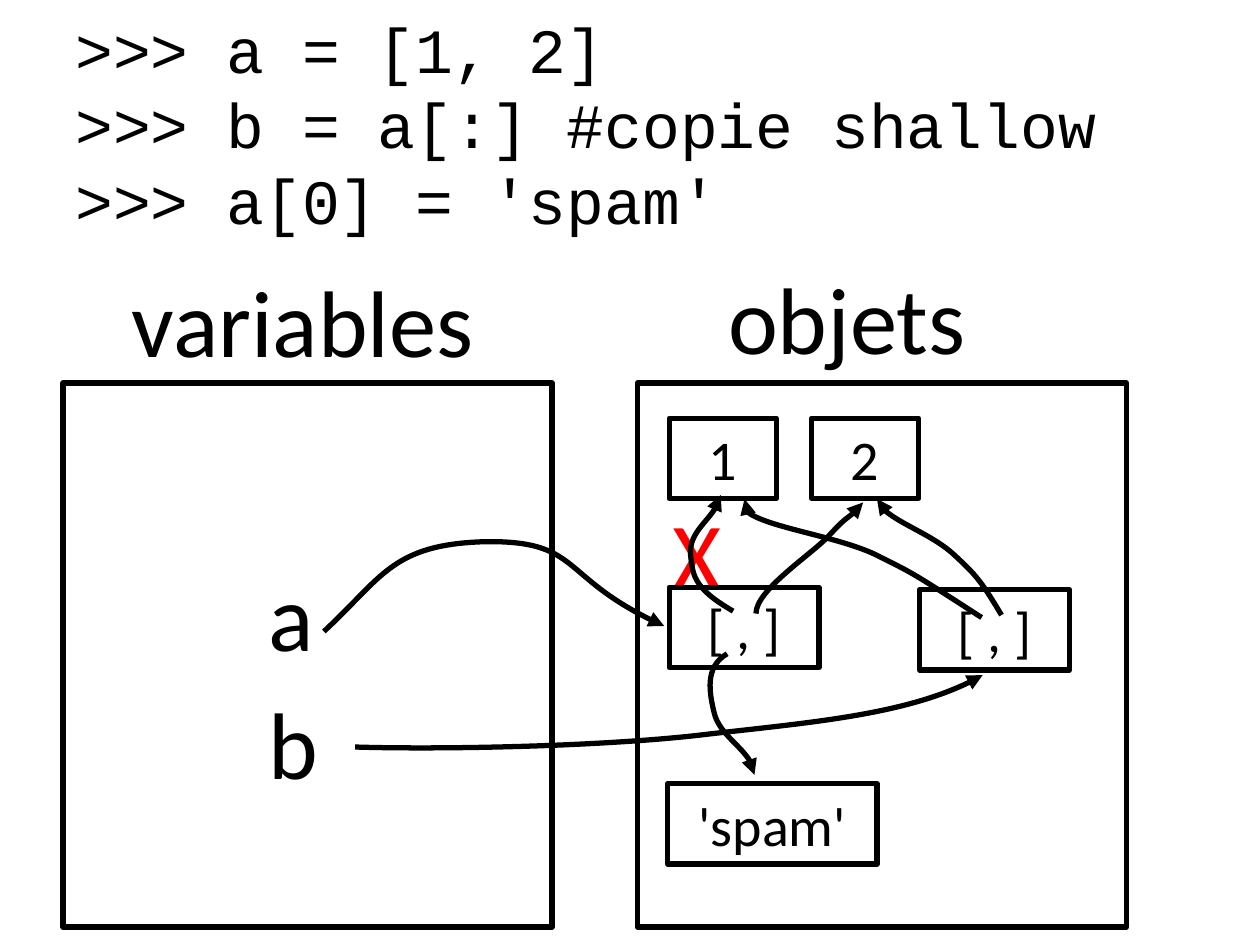
"""Build the slide on shallow copies: code, variables, objects and references."""
import lxml.etree
import pptx
import pptx.dml.color
import pptx.enum.shapes
import pptx.enum.text
import pptx.oxml.ns
import pptx.util
from dataclasses import dataclass
from pptx.util import Cm

RGB = pptx.dml.color.RGBColor
RECTANGLE = pptx.enum.shapes.MSO_SHAPE.RECTANGLE
qn = pptx.oxml.ns.qn


@dataclass(frozen=True)
class Theme:
    ink: RGB = RGB(0, 0, 0)
    crossed: RGB = RGB(255, 0, 0)
    label_font: str = "Calibri"
    code_font: str = "Courier New"
    label_size: int = 54
    code_size: int = 36
    object_size: int = 32
    line_width: int = 3


theme = Theme()


def write(holder, text, size, color=theme.ink, font=theme.label_font, align=None):
    frame = holder.text_frame
    frame.text = text
    frame.word_wrap = True
    frame.auto_size = pptx.enum.text.MSO_AUTO_SIZE.SHAPE_TO_FIT_TEXT
    for paragraph in frame.paragraphs:
        paragraph.alignment = align
        paragraph.font.name = font
        paragraph.font.size = pptx.util.Pt(size)
        paragraph.font.color.rgb = color


def outline(shape):
    shape.shadow.inherit = False
    shape.fill.background()
    shape.line.color.rgb = theme.ink
    shape.line.width = pptx.util.Pt(theme.line_width)


deck = pptx.Presentation()
deck.slide_width, deck.slide_height = Cm(25.4), Cm(19.05)
slide = deck.slides.add_slide(deck.slide_layouts[6])

code = slide.shapes.add_textbox(Cm(1.27), Cm(0.08), Cm(24.13), Cm(4.88))
write(code, ">>> a = [1, 2]\n>>> b = a[:] #copie shallow\n>>> a[0] = 'spam'",
      theme.code_size, font=theme.code_font)

for left in (1.27, 12.85):
    outline(slide.shapes.add_shape(RECTANGLE, Cm(left), Cm(7.72), Cm(9.86), Cm(10.97)))

labels = [
    ("variables", 2.41, 5.18, 9.6, theme.ink),
    ("objets", 14.43, 5.11, 9.6, theme.ink),
    ("a", 5.16, 11.1, 3, theme.ink),
    ("b", 5.16, 13.69, 3, theme.ink),
    ("X", 13.31, 9.86, 1.63, theme.crossed),
]
for text, left, top, width, color in labels:
    label = slide.shapes.add_textbox(Cm(left), Cm(top), Cm(width), Cm(2.57))
    write(label, text, theme.label_size, color)

objects = [
    ("1", 13.49, 8.43, 2.16),
    ("2", 16.36, 8.43, 2.16),
    ("[ , ]", 13.49, 11.84, 3.02),
    ("[ , ]", 18.54, 11.89, 3.02),
    ("'spam'", 13.46, 15.8, 4.22),
]
for text, left, top, width in objects:
    value = slide.shapes.add_shape(RECTANGLE, Cm(left), Cm(top), Cm(width), Cm(1.62))
    outline(value)
    write(value, text, theme.object_size, align=pptx.enum.text.PP_ALIGN.CENTER)

references = {
    "a to list": [(6.53, 12.73), (7.72, 11.63), (7.9, 10.97), (9.8, 10.92),
                  (11.68, 10.9), (11.25, 11.66), (13.39, 12.62)],
    "b to copy": [(7.16, 15.06), (8.79, 15.11), (11.91, 15.06), (14.02, 14.83),
                  (16.13, 14.58), (18.39, 14.43), (19.81, 13.61)],
    "a[0] to 1": [(14.78, 12.32), (13.94, 11.84), (13.97, 11.56), (13.92, 11.18),
                  (13.89, 10.77), (14.48, 10.34), (14.53, 9.98)],
    "a[1] to 2": [(15.24, 12.37), (15.24, 11.89), (16.36, 11.18), (16.71, 10.8),
                  (17.07, 10.41), (17.12, 10.46), (17.4, 10.13)],
    "a[0] to spam": [(14.66, 13.18), (14.2, 13.44), (14.3, 13.97), (14.4, 14.38),
                     (14.5, 14.78), (15.21, 15.21), (15.21, 15.62)],
    "b[0] to 1": [(19.79, 12.45), (18.29, 11.48), (18.44, 11.58), (17.65, 11.18),
                  (16.84, 10.8), (14.63, 10.52), (15.01, 10.06)],
    "b[1] to 2": [(20.19, 12.4), (19.76, 11.68), (19.66, 11.58), (19.23, 11.18),
                  (18.82, 10.8), (17.73, 10.41), (17.68, 10.06)],
}
for points in references.values():
    start, *controls = [(Cm(x), Cm(y)) for x, y in points]
    builder = slide.shapes.build_freeform(*start)
    builder.add_line_segments(controls, close=False)
    arrow = builder.convert_to_shape()
    outline(arrow)
    segments = list(arrow.element.iter(qn("a:lnTo")))
    for first in range(0, len(segments), 3):
        curve = lxml.etree.Element(qn("a:cubicBezTo"))
        segments[first].addprevious(curve)
        for segment in segments[first:first + 3]:
            curve.append(segment[0])
            segment.getparent().remove(segment)
    line = arrow.element.spPr.find(qn("a:ln"))
    lxml.etree.SubElement(line, qn("a:tailEnd"), type="triangle")

deck.save("out.pptx")
